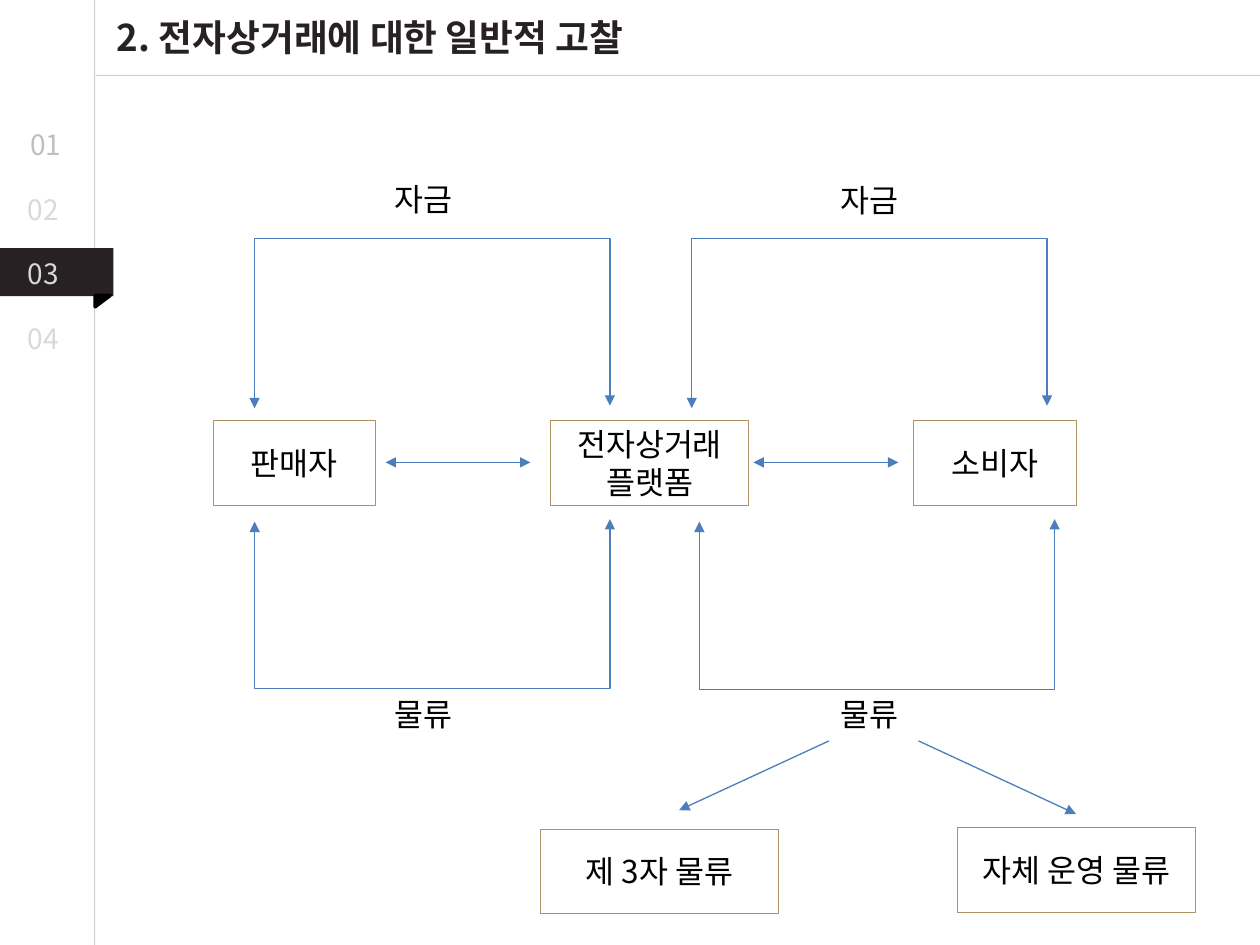
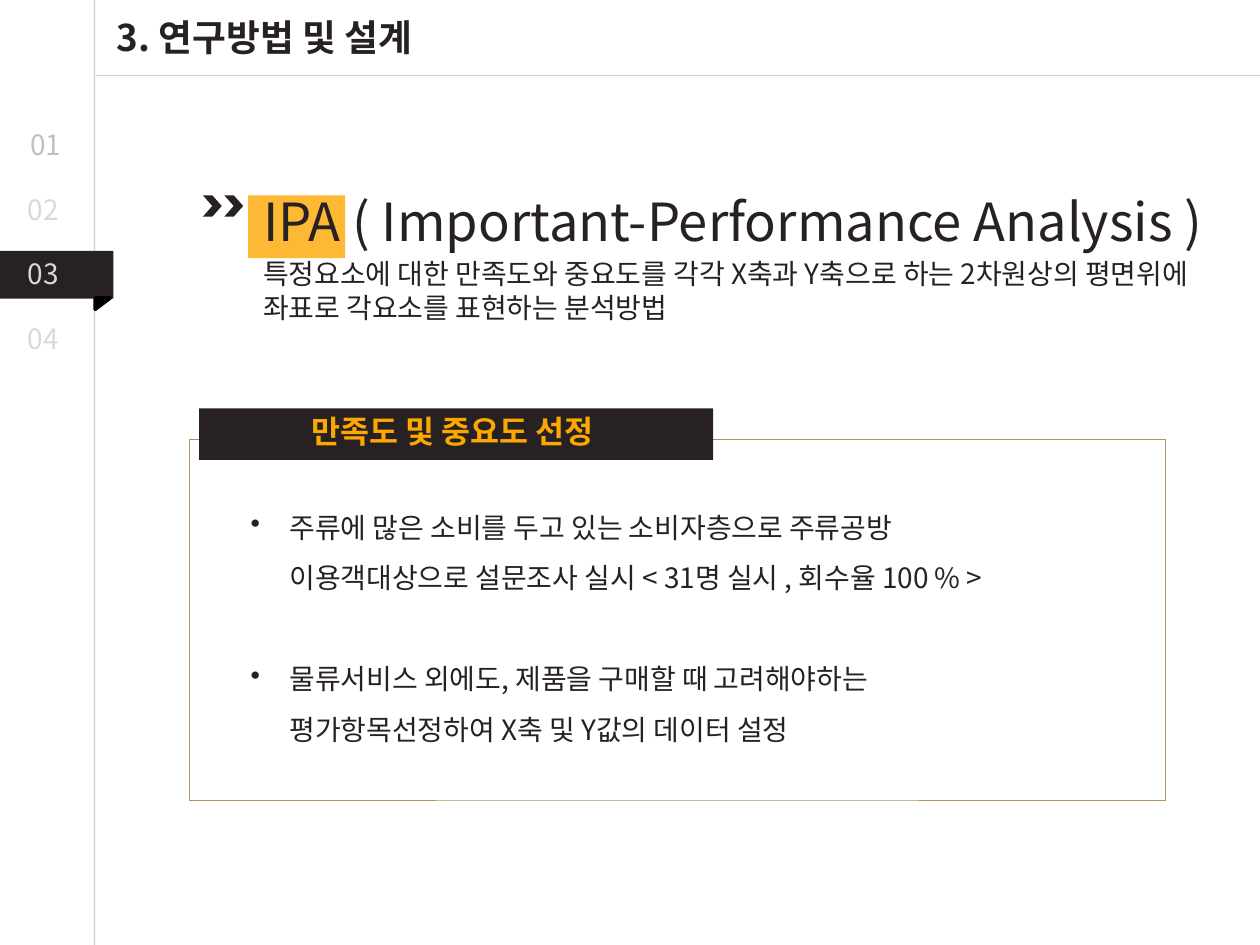
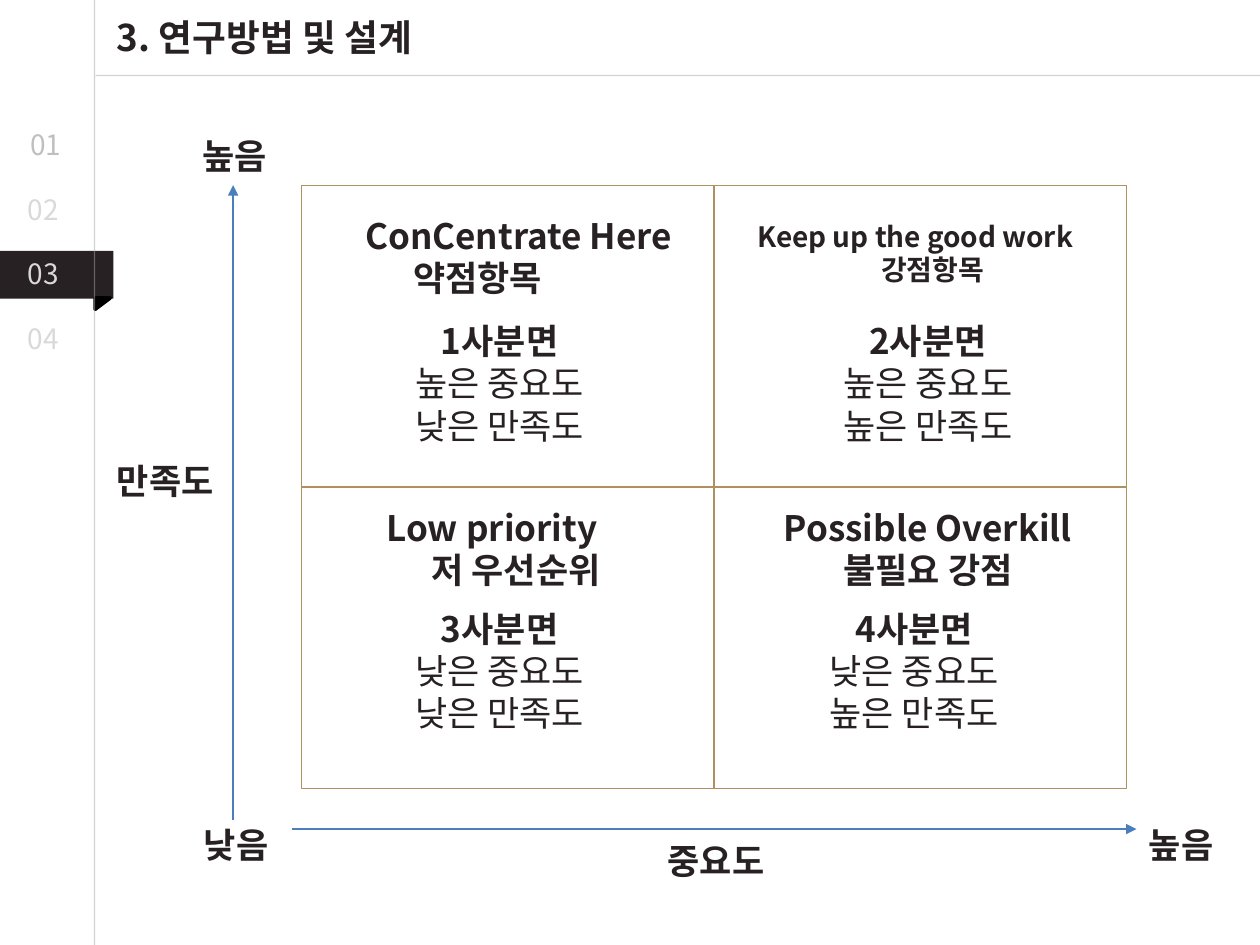
"""Build three slides on e-commerce flows and importance-performance analysis."""
from dataclasses import dataclass

from lxml.etree import SubElement
from pptx import Presentation
from pptx.dml.color import RGBColor
from pptx.enum.shapes import MSO_CONNECTOR, MSO_SHAPE
from pptx.enum.text import MSO_ANCHOR, MSO_AUTO_SIZE, PP_ALIGN
from pptx.oxml.ns import qn
from pptx.util import Inches, Pt


@dataclass(frozen=True)
class Theme:
    font: str = "Noto Sans CJK KR"
    ink: str = "272123"
    black: str = "000000"
    amber: str = "FDA800"
    gold: str = "AF9061"
    blue: str = "4B7EBC"
    rule: str = "A6A6A6"
    past: str = "BFBFBF"
    pale: str = "D9D9D9"
    small: int = 16
    label: int = 18
    quadrant: int = 20
    title: int = 21
    hero: int = 30
    hairline: float = 0.5
    stroke: float = 0.75


theme = Theme()
deck = Presentation()
deck.slide_width, deck.slide_height = Inches(10), Inches(7.5)
COLUMN = deck.slide_width / 100
ROW = deck.slide_height / 75


def write(slide, text="", *, box, preset=None, fill=None, alpha=None, border=None,
          border_width=theme.hairline, rotation=0, size=theme.label, color=theme.ink,
          bold_count=0, align=PP_ALIGN.LEFT, anchor=MSO_ANCHOR.TOP, last_indent=0,
          bullet=None, spacing=None, gap=0):
    """Place text, one paragraph per line, in a text box or a preset shape."""
    left, top, width, height = box
    frame = [round(v) for v in (left * COLUMN, top * ROW, width * COLUMN, height * ROW)]
    if preset is None:
        holder = slide.shapes.add_textbox(*frame)
        holder.text_frame.auto_size = MSO_AUTO_SIZE.SHAPE_TO_FIT_TEXT
    else:
        holder = slide.shapes.add_shape(preset, *frame)
        holder.shadow.inherit = False
        holder.rotation = rotation
        if fill:
            holder.fill.solid()
            holder.fill.fore_color.rgb = RGBColor.from_string(fill)
            if alpha:
                tint = holder._element.spPr.find(qn("a:solidFill"))[0]
                SubElement(tint, qn("a:alpha"), val=str(alpha * 1000))
        else:
            holder.fill.background()
        if border:
            holder.line.color.rgb = RGBColor.from_string(border)
            holder.line.width = Pt(border_width)
        else:
            holder.line.fill.background()
    if not text:
        return
    body = holder.text_frame
    body.word_wrap = True
    body.vertical_anchor = anchor
    lines = text.split("\n")
    for index, line in enumerate(lines):
        paragraph = body.paragraphs[0] if index == 0 else body.add_paragraph()
        paragraph.alignment = align
        if spacing:
            paragraph.line_spacing = spacing
        if index and gap:
            paragraph.space_before = Pt(gap)
        properties = paragraph._p.get_or_add_pPr()
        if last_indent and index == len(lines) - 1:
            properties.set("marL", str(round(last_indent * COLUMN)))
        if bullet:
            properties.set("marL", str(round(3.1 * COLUMN)))
            properties.set("indent", str(round(-3.1 * COLUMN)))
            SubElement(properties, qn("a:buChar"), char=bullet)
        run = paragraph.add_run()
        run.text = line
        run.font.size = Pt(size)
        run.font.bold = index < bold_count
        run.font.color.rgb = RGBColor.from_string(color)
        run.font.name = theme.font
        SubElement(run._r.rPr, qn("a:ea"), typeface=theme.font)


def connect(slide, start, end, *, color=theme.blue, alpha=None, heads=(), bend=None):
    """Draw a straight line, or an elbow turned a quarter when bend is given."""
    kind = MSO_CONNECTOR.STRAIGHT if bend is None else MSO_CONNECTOR.ELBOW
    ends = [round(v) for v in (start[0] * COLUMN, start[1] * ROW, end[0] * COLUMN, end[1] * ROW)]
    link = slide.shapes.add_connector(kind, *ends)
    link.line.color.rgb = RGBColor.from_string(color)
    link.line.width = Pt(theme.stroke)
    outline = link.line._get_or_add_ln()
    if alpha:
        SubElement(outline.find(qn("a:solidFill"))[0], qn("a:alpha"), val=str(alpha * 1000))
    for head in heads:
        SubElement(outline, qn(f"a:{head}"), type="triangle")
    properties = link._element.spPr
    SubElement(properties, qn("a:effectLst"))
    if bend is not None:
        properties.find(qn("a:xfrm")).set("rot", "5400000")
        geometry = properties.find(qn("a:prstGeom"))
        guides = geometry.find(qn("a:avLst"))
        if guides is None:
            guides = SubElement(geometry, qn("a:avLst"))
        SubElement(guides, qn("a:gd"), name="adj1", fmla=f"val {round(bend * 100000)}")


BOTH = ("headEnd", "tailEnd")
FORWARD = ("tailEnd",)
RECTANGLE = MSO_SHAPE.RECTANGLE

pages = []
for title, ribbon_top, layers in [
    ("2. 전자상거래에 대한 일반적 고찰", 19.7, ("rules", "ribbon")),
    ("3. 연구방법 및 설계", 19.9, ("rules", "ribbon")),
    ("3. 연구방법 및 설계", 19.9, ("ribbon", "rules")),
]:
    page = deck.slides.add_slide(deck.slide_layouts[6])
    pages.append(page)
    for layer in layers:
        if layer == "rules":
            connect(page, (7.5, -4.1), (7.5, 77.7), color=theme.rule, alpha=50)
            connect(page, (109.2, 6), (7.6, 6), color=theme.rule, alpha=50)
        else:
            write(page, box=(-0.1, ribbon_top, 9.1, 3.8), preset=RECTANGLE, fill=theme.ink)
            write(page, box=(7.7, ribbon_top + 3.6, 0.9, 1.2), preset=MSO_SHAPE.RIGHT_TRIANGLE,
                  fill=theme.black, border=theme.black, border_width=2, rotation=90)
    for step in range(4):
        write(page, f"{step + 1:02}", size=theme.small,
              box=(1.2 if step else 1.4, 9.6 + 5.15 * step, 4.9, 3.7),
              color=theme.pale if step else theme.past)
    write(page, title, box=(8.3, 0.7, 76.4, 4.5), size=theme.title, bold_count=1)

flow, method, matrix = pages

for party, left, top, width in [
    ("판매자", 16.9, 33.4, 12.9),
    ("전자상거래 플랫폼", 43.7, 33.4, 15.7),
    ("소비자", 72.5, 33.4, 12.9),
    ("제 3자 물류", 42.9, 65.8, 18.9),
    ("자체 운영 물류", 76, 65.7, 18.9),
]:
    write(flow, party, box=(left, top, width, 6.7), preset=RECTANGLE, border=theme.gold,
          color=theme.black, align=PP_ALIGN.CENTER, anchor=MSO_ANCHOR.MIDDLE)

for left in (30.6, 59.8):
    connect(flow, (left, 36.7), (left + 11.5, 36.7), heads=BOTH)

SPAN, DROP = 28.2, 0.2
for left, start_row, turn_row in [
    (20.2, 32.4, 19), (54.9, 32.4, 19), (20.2, 41.4, 54.6), (55.5, 41.4, 54.7),
]:
    center, middle = left + SPAN / 2, start_row - DROP / 2
    connect(flow, (center + DROP / 2, middle + SPAN / 2), (center - DROP / 2, middle - SPAN / 2),
            heads=BOTH, bend=(start_row - turn_row) / DROP)

for stream, left, top in [
    ("자금", 30.3, 13.8), ("자금", 65.7, 13.9), ("물류", 30.3, 54.7), ("물류", 65.7, 54.7),
]:
    write(flow, stream, box=(left, top, 13.4, 4), color=theme.black)

connect(flow, (65.8, 58.8), (53.9, 64.3), heads=FORWARD)
connect(flow, (72.9, 58.8), (85.4, 64.6), heads=FORWARD)

write(method, box=(19.7, 15.5, 7.7, 5), preset=RECTANGLE, fill=theme.amber, alpha=80)
write(method, "IPA ( Important-Performance Analysis )", box=(19.9, 14.5, 78.9, 6.1),
      size=theme.hero)
for left in (16.1, 17.8):
    write(method, box=(left, 15.5, 1.5, 1.7), preset=MSO_SHAPE.CHEVRON, fill=theme.ink)
write(method, "특정요소에 대한 만족도와 중요도를 각각 X축과 Y축으로 하는 2차원상의 "
      "평면위에 좌표로 각요소를 표현하는 분석방법",
      box=(19.9, 19.9, 78.9, 6.4), size=theme.small)
write(method, box=(15, 34.9, 77.5, 28.6), preset=RECTANGLE, border=theme.gold)
write(method, box=(15.8, 32.4, 40.8, 4.1), preset=RECTANGLE, fill=theme.ink)
write(method, "만족도 및 중요도 선정", box=(16.9, 32.2, 38, 4), color=theme.amber,
      bold_count=1, align=PP_ALIGN.CENTER)
write(method, "주류에 많은 소비를 두고 있는 소비자층으로 주류공방 "
      "이용객대상으로 설문조사 실시 < 31명 실시 , 회수율 100 % >\n"
      "물류서비스 외에도, 제품을 구매할 때 고려해야하는 "
      "평가항목선정하여 X축 및 Y값의 데이터 설정",
      box=(18.9, 38.7, 67.5, 24.7), size=theme.small, bullet="•", spacing=1.5, gap=29)

connect(matrix, (18.5, 65.1), (18.5, 14.7), heads=FORWARD)
connect(matrix, (23.2, 65.8), (90.2, 65.8), heads=FORWARD)
for quadrant in range(4):
    row, column = divmod(quadrant, 2)
    write(matrix, box=(23.9 + 32.7 * column, 14.7 + 24 * row, 32.8, 23.9),
          preset=RECTANGLE, border=theme.gold)

for strategy, box, size, align, indent in [
    ("ConCentrate Here\n약점항목", (28, 16.5, 26.9, 7.7), theme.quadrant, PP_ALIGN.LEFT, 3.8),
    ("Keep up the good work\n강점항목", (55.7, 16.9, 33.9, 6.4), theme.small,
     PP_ALIGN.CENTER, 2.7),
    ("Low priority\n저 우선순위", (25.6, 39.7, 26.9, 7.7), theme.quadrant,
     PP_ALIGN.CENTER, 3.8),
    ("Possible Overkill\n불필요 강점", (60.2, 39.7, 26.9, 7.7), theme.quadrant,
     PP_ALIGN.CENTER, 0),
]:
    write(matrix, strategy, box=box, size=size, align=align, bold_count=2, last_indent=indent)

for number, (importance, satisfaction, left, top) in enumerate([
    ("높은", "낮은", 26.2, 24.9),
    ("높은", "높은", 60.2, 24.9),
    ("낮은", "낮은", 26.2, 47.7),
    ("낮은", "높은", 59.1, 47.7),
], start=1):
    write(matrix, f"{number}사분면\n{importance} 중요도\n{satisfaction} 만족도",
          box=(left, top, 26.9, 11.1), size=theme.quadrant, bold_count=1,
          align=PP_ALIGN.CENTER)

for axis_label, left, top, width in [
    ("중요도", 52, 66.1, 32.8),
    ("만족도", 8.3, 36, 10.5),
    ("낮음", 15.2, 64.9, 10.5),
    ("높음", 90.2, 64.9, 10.5),
    ("높음", 15.1, 10.2, 10.5),
]:
    write(matrix, axis_label, box=(left, top, width, 4.4), size=theme.quadrant, bold_count=1)

deck.save("out.pptx")
